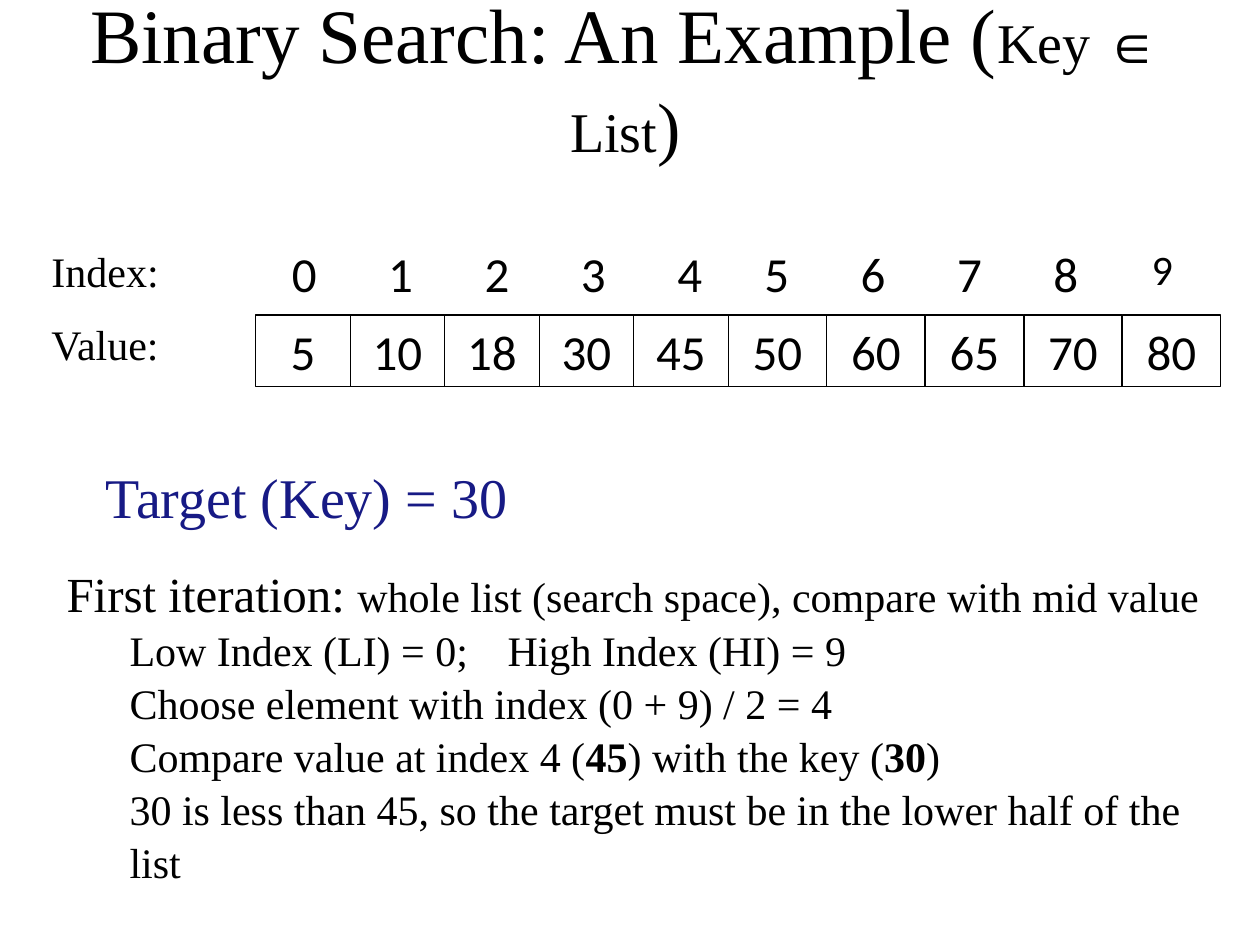
from pptx import Presentation
from pptx.dml.color import RGBColor
from pptx.enum.shapes import MSO_SHAPE
from pptx.enum.text import MSO_ANCHOR, MSO_AUTO_SIZE, PP_ALIGN
from pptx.util import Inches, Pt

SERIF, SANS = "Times New Roman", "Calibri"
BLACK, NAVY = "000000", "171A85"
VALUES = [5, 10, 18, 30, 45, 50, 60, 65, 70, 80]
ROW_LEFT, HALF_LEFT = 2.03, 5.78  # left edges of the two halves of the list


def color(hex_string):
    return RGBColor.from_string(hex_string)


def add_run(paragraph, text, size=24, font=SERIF, fill=BLACK, bold=False):
    run = paragraph.add_run()
    run.text = text
    run.font.size = Pt(size)
    run.font.name = font
    run.font.color.rgb = color(fill)
    run.font.bold = bold


def fill_paragraph(paragraph, runs, align=PP_ALIGN.LEFT, spacing=1.0, indent=0):
    paragraph.alignment = align
    paragraph.line_spacing = spacing
    if indent:
        paragraph.level = 1
        properties = paragraph._p.get_or_add_pPr()
        properties.set("marL", str(Inches(indent)))
        properties.set("indent", "0")
    for text, style in runs:
        add_run(paragraph, text, **style)


def set_frame(frame, anchor=MSO_ANCHOR.TOP, left=0.1, top=0.05, right=0.1, grow=False):
    frame.word_wrap = True
    frame.vertical_anchor = anchor
    frame.margin_left, frame.margin_right = Inches(left), Inches(right)
    frame.margin_top, frame.margin_bottom = Inches(top), Inches(0.05)
    frame.auto_size = MSO_AUTO_SIZE.SHAPE_TO_FIT_TEXT if grow else MSO_AUTO_SIZE.NONE


def add_text(shapes, box, runs, align=PP_ALIGN.LEFT, spacing=1.0, **frame_format):
    frame = shapes.add_textbox(*map(Inches, box)).text_frame
    set_frame(frame, **frame_format)
    fill_paragraph(frame.paragraphs[0], runs, align, spacing)
    return frame


def add_cell(shapes, box, text):
    cell = shapes.add_shape(MSO_SHAPE.RECTANGLE, *map(Inches, box))
    cell.shadow.inherit = False
    cell.fill.background()
    cell.line.color.rgb = color(BLACK)
    cell.line.width = Pt(0.74)
    set_frame(cell.text_frame, grow=True)
    fill_paragraph(cell.text_frame.paragraphs[0],
                   [(text, {"size": 28, "font": SANS})], PP_ALIGN.CENTER)


def column_left(i, first_step, second_step):
    if i < 5:
        return ROW_LEFT + i * first_step
    return HALF_LEFT + (i - 5) * second_step


def add_list(shapes):
    value_row = shapes.add_group_shape().shapes
    for i, value in enumerate(VALUES):
        width = 0.75 if i < 5 else 0.78
        add_cell(value_row, (column_left(i, 0.75, 0.782), 2.5, width, 0.57), str(value))

    index_row = shapes.add_group_shape().shapes
    for i in range(len(VALUES)):
        size, height = (24, 0.5) if i == len(VALUES) - 1 else (28, 0.57)
        add_text(index_row, (column_left(i, 0.765, 0.765), 1.88, 0.77, height),
                 [(str(i), {"size": size, "font": SANS})], PP_ALIGN.CENTER, grow=True)


def add_iteration(shapes):
    bold = {"bold": True}
    heading = [("First iteration: ", {"size": 28}),
               ("whole list (search space), compare with mid value", {})]
    steps = [
        [("Low Index (LI) = 0;\tHigh Index (HI) = 9", {})],
        [("Choose element with index (0 + 9) / 2 = 4", {})],
        [("Compare value at index 4 (", {}), ("45", bold),
         (") with the key (", {}), ("30", bold), (")", {})],
        [("30 is less than 45, so the target must be in the lower half of the list", {})],
    ]
    frame = add_text(shapes, (0.43, 4.45, 9.24, 2.81), heading, spacing=1.05, top=0)
    for step in steps:
        fill_paragraph(frame.add_paragraph(), step, spacing=1.05, indent=0.5)


def main():
    deck = Presentation()
    deck.slide_width, deck.slide_height = Inches(10), Inches(7.5)
    shapes = deck.slides.add_slide(deck.slide_layouts[6]).shapes

    # Title
    title = [("Binary Search: An Example (", {"size": 44}), ("Key ", {"size": 32}),
             ("∈", {"size": 32, "font": "Arial"}), (" List", {"size": 32}),
             (")", {"size": 40})]
    add_text(shapes, (0.16, 0.16, 9.61, 0.86), title, PP_ALIGN.CENTER, 1.05,
             anchor=MSO_ANCHOR.MIDDLE, left=0.2, right=0.2)

    # Search key
    add_text(shapes, (0.63, 3.59, 8.5, 0.7),
             [("Target (Key) = 30", {"size": 32, "fill": NAVY})],
             anchor=MSO_ANCHOR.MIDDLE, left=0.21)

    # Row labels and the list
    for label, top in (("Index:", 1.88), ("Value:", 2.46)):
        add_text(shapes, (0.31, top, 1.41, 0.5), [(label, {})], spacing=1.05, grow=True)
    add_list(shapes)

    # Search steps
    add_iteration(shapes)
    deck.save("out.pptx")


main()
